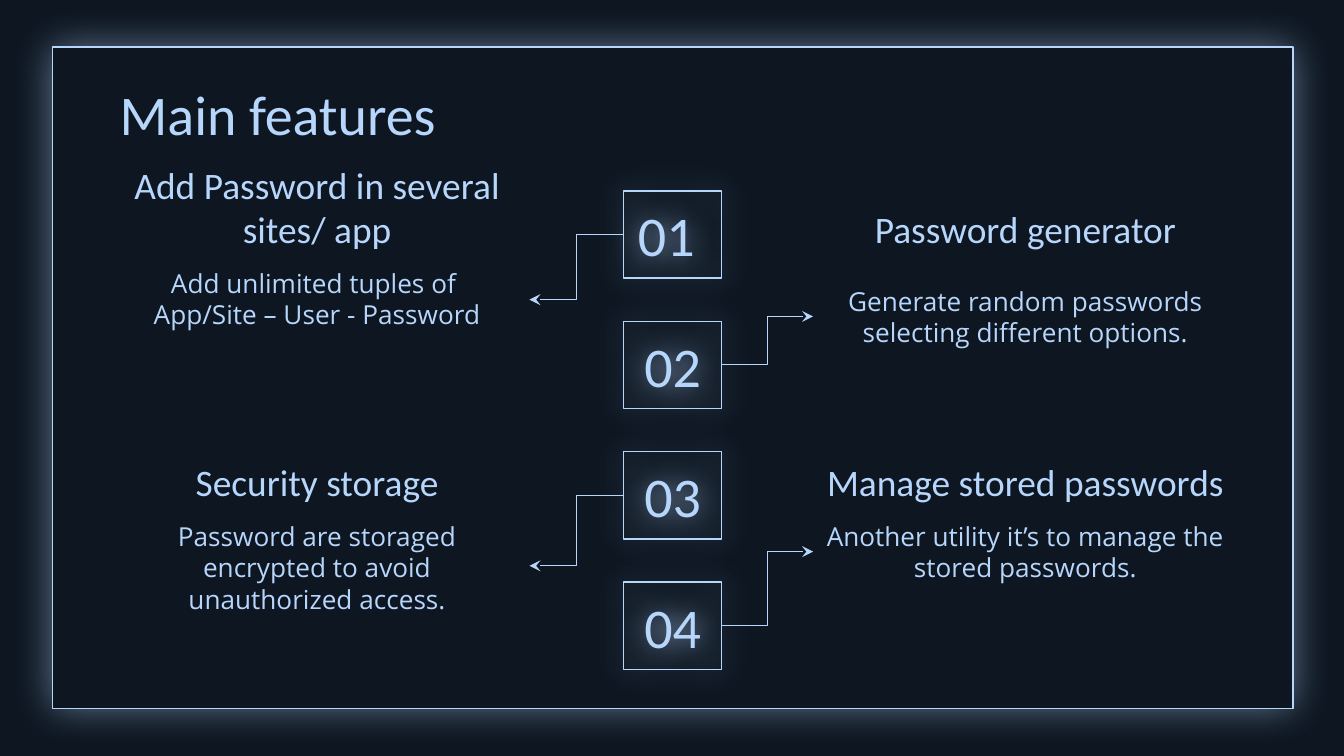
from lxml.etree import SubElement
from pptx import Presentation
from pptx.dml.color import RGBColor
from pptx.enum.shapes import MSO_CONNECTOR, MSO_SHAPE
from pptx.enum.text import MSO_ANCHOR, MSO_AUTO_SIZE, PP_ALIGN
from pptx.oxml.ns import qn
from pptx.util import Inches, Pt

TITLE = "Main features"
FEATURES = [
    {"number": "01 ", "heading": "Add Password in several sites/ app",
     "body": ["Add unlimited tuples of ", "App/Site – User - Password"],
     "body_top": 1.89, "body_height": 0.68},
    {"number": "02", "heading": "Password generator",
     "body": ["Generate random passwords selecting different options."],
     "body_top": 2.02, "body_height": 0.67},
    {"number": "03", "heading": "Security storage",
     "body": ["Password are storaged encrypted to avoid unauthorized access."],
     "body_top": 3.77, "body_height": 0.88},
    {"number": "04", "heading": "Manage stored passwords",
     "body": ["Another utility it’s to manage the stored passwords."],
     "body_top": 3.77, "body_height": 0.67},
]

THEME = {
    "background": RGBColor.from_string("0D1621"),
    "accent": RGBColor.from_string("B7D6FC"),
    "line": Pt(0.75),
    "title": {"name": "Calibri", "size": Pt(30)},
    "heading": {"name": "Calibri", "size": Pt(20)},
    "body": {"name": "Open Sans", "size": Pt(14)},
}
FRAME_GLOW = {"blur": 21.4, "opacity": 50}
NUMBER_GLOW = {"blur": 15.8, "opacity": 100}

SLIDE_WIDTH = 10
SLIDE_HEIGHT = SLIDE_WIDTH * 9 / 16
FRAME = (0.39, 0.35, 9.23, 4.92)
TITLE_AREA = (0.79, 0.49, 8.43, 0.63)
COLUMN_LEFTS = (0.78, 6.05)
COLUMN_WIDTH = 3.16
HEADING_TOPS = (1.55, 3.43)
HEADING_HEIGHT = 0.42
NUMBER_LEFT, NUMBER_TOP, NUMBER_PITCH = 4.64, 1.42, 0.97
NUMBER_WIDTH, NUMBER_HEIGHT = 0.73, 0.65
LEFT_SIDE, RIGHT_SIDE = 1, 3


def inches(area):
    return [Inches(length) for length in area]


def write(holder, lines, style, align=PP_ALIGN.CENTER, anchor=MSO_ANCHOR.TOP):
    frame = holder.text_frame
    layout = {"word_wrap": True, "auto_size": MSO_AUTO_SIZE.NONE, "vertical_anchor": anchor}
    layout.update({f"margin_{side}": Inches(0.1) for side in ("left", "top", "right", "bottom")})
    for name, value in layout.items():
        setattr(frame, name, value)
    frame.text = "\n".join(lines)
    for paragraph in frame.paragraphs:
        paragraph.alignment = align
        for run in paragraph.runs:
            for name, value in THEME[style].items():
                setattr(run.font, name, value)
            run.font.color.rgb = THEME["accent"]


def outline(item):
    item.line.color.rgb = THEME["accent"]
    item.line.width = THEME["line"]


def add_glowing_box(slide, area, glow):
    box = slide.shapes.add_shape(MSO_SHAPE.RECTANGLE, *inches(area))
    box.fill.background()
    outline(box)
    effects = SubElement(box.element.spPr, qn("a:effectLst"))
    shadow = SubElement(effects, qn("a:outerShdw"), blurRad=str(Pt(glow["blur"])),
                        dist="0", dir="0", algn="bl", rotWithShape="0")
    color = SubElement(shadow, qn("a:srgbClr"), val=str(THEME["accent"]))
    SubElement(color, qn("a:alpha"), val=str(glow["opacity"] * 1000))
    return box


def add_text(slide, area, lines, style, **options):
    holder = slide.shapes.add_textbox(*inches(area))
    write(holder, lines, style, **options)
    return holder


def add_arrow(slide, number, number_side, body, body_side):
    arrow = slide.shapes.add_connector(MSO_CONNECTOR.ELBOW, 0, 0, 0, 0)
    arrow.begin_connect(number, number_side)
    arrow.end_connect(body, body_side)
    outline(arrow)
    properties = arrow.element.spPr
    SubElement(properties.find(qn("a:ln")), qn("a:tailEnd"), type="stealth", w="med", len="med")
    SubElement(properties, qn("a:effectLst"))


def add_feature(slide, index, feature):
    row, column = divmod(index, 2)
    left = COLUMN_LEFTS[column]
    number_area = (NUMBER_LEFT, NUMBER_TOP + index * NUMBER_PITCH, NUMBER_WIDTH, NUMBER_HEIGHT)
    number = add_glowing_box(slide, number_area, NUMBER_GLOW)
    write(number, [feature["number"]], "title", anchor=MSO_ANCHOR.MIDDLE)
    add_text(slide, (left, HEADING_TOPS[row], COLUMN_WIDTH, HEADING_HEIGHT),
             [feature["heading"]], "heading", anchor=MSO_ANCHOR.BOTTOM)
    body = add_text(slide, (left, feature["body_top"], COLUMN_WIDTH, feature["body_height"]),
                    feature["body"], "body")
    sides = (LEFT_SIDE, RIGHT_SIDE) if column == 0 else (RIGHT_SIDE, LEFT_SIDE)
    add_arrow(slide, number, sides[0], body, sides[1])


def main():
    deck = Presentation()
    deck.slide_width, deck.slide_height = inches((SLIDE_WIDTH, SLIDE_HEIGHT))
    slide = deck.slides.add_slide(deck.slide_layouts[5])
    slide.background.fill.solid()
    slide.background.fill.fore_color.rgb = THEME["background"]

    title = slide.shapes.title
    title.left, title.top, title.width, title.height = inches(TITLE_AREA)
    write(title, [TITLE], "title", align=PP_ALIGN.LEFT)

    frame = add_glowing_box(slide, FRAME, FRAME_GLOW)
    frame.fill.solid()
    frame.fill.fore_color.rgb = THEME["background"]
    title.element.addprevious(frame.element)

    for index, feature in enumerate(FEATURES):
        add_feature(slide, index, feature)
    deck.save("out.pptx")


if __name__ == "__main__":
    main()
